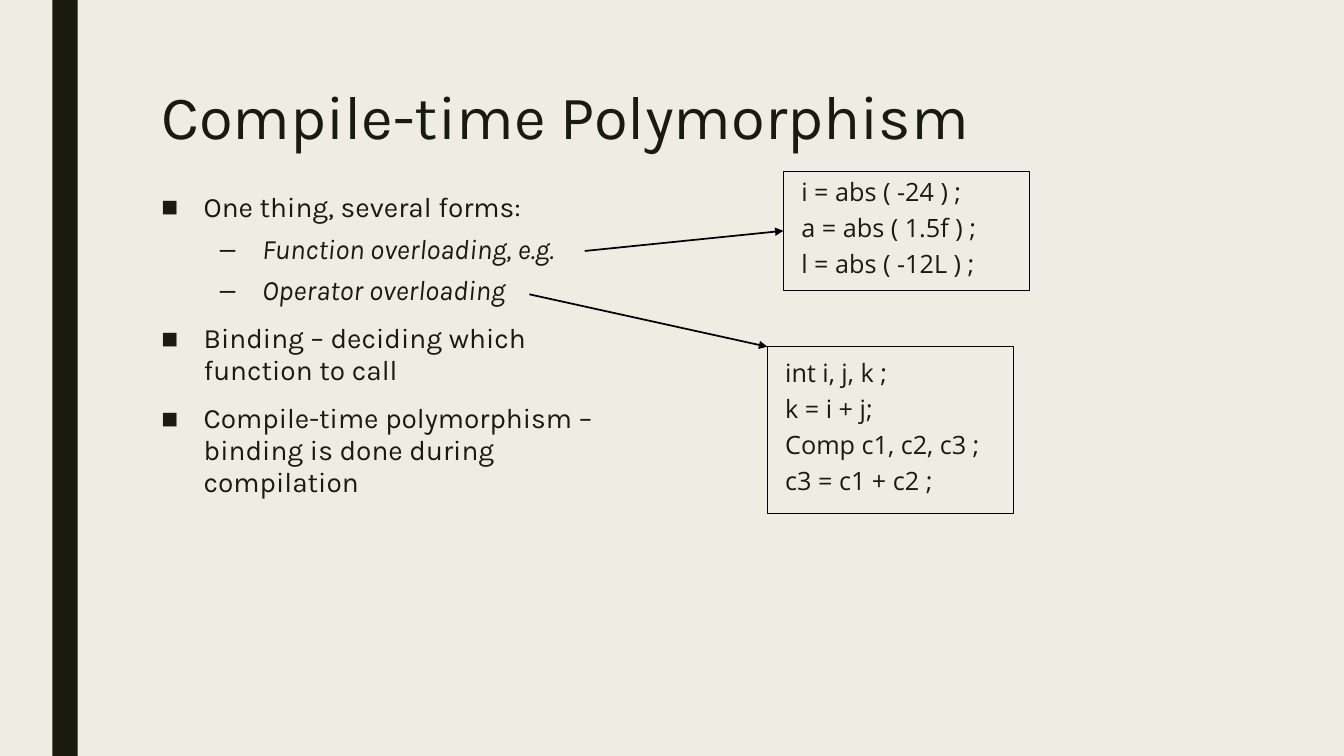
"""Builds the slide on compile-time polymorphism."""
import pptx
import pptx.util
import pptx.dml.color
import pptx.enum.shapes
import pptx.enum.text
import pptx.oxml.ns
import lxml.etree

Inches, Pt = pptx.util.Inches, pptx.util.Pt
RGB = pptx.dml.color.RGBColor.from_string
ANCHOR = pptx.enum.text.MSO_ANCHOR
RECTANGLE = pptx.enum.shapes.MSO_SHAPE.RECTANGLE
COLORS = {"paper": "EFEDE3", "ink": "191B0E", "outline": "000000"}


def write(frame, text, first=False, size=20, font="Karla", italic=False, level=0,
          margin=0, indent=0, line=0.94, before=10, after=2, bullet=None):
    paragraph = frame.paragraphs[0] if first else frame.add_paragraph()
    paragraph.level = level
    paragraph.alignment = pptx.enum.text.PP_ALIGN.LEFT
    paragraph.line_spacing = line
    paragraph.space_before, paragraph.space_after = Pt(before), Pt(after)
    run = paragraph.add_run()
    run.text = text
    run.font.size, run.font.name, run.font.italic = Pt(size), font, italic
    run.font.color.rgb = RGB(COLORS["ink"])
    properties = paragraph._p.get_or_add_pPr()
    properties.set("marL", str(Inches(margin)))
    properties.set("indent", str(Inches(indent)))
    mark = lxml.etree.SubElement(
        properties, pptx.oxml.ns.qn("a:buChar" if bullet else "a:buNone"))
    if bullet:
        mark.set("char", bullet)


deck = pptx.Presentation()
deck.slide_width, deck.slide_height = Inches(13.33), Inches(7.5)
slide = deck.slides.add_slide(deck.slide_layouts[1])
slide.background.fill.solid()
slide.background.fill.fore_color.rgb = RGB(COLORS["paper"])

side_bar = slide.shapes.add_shape(RECTANGLE, Inches(0.52), 0, Inches(0.25), Inches(7.5))
side_bar.shadow.inherit = False
side_bar.fill.solid()
side_bar.fill.fore_color.rgb = RGB(COLORS["ink"])
side_bar.line.fill.background()

heading, points = slide.placeholders
for holder, box, anchor in [
    (heading, (1.5, 0.75, 10.5, 0.87), ANCHOR.MIDDLE),
    (points, (1.5, 1.86, 4.86, 4.56), ANCHOR.TOP),
]:
    holder.left, holder.top, holder.width, holder.height = map(Inches, box)
    holder.text_frame.auto_size = pptx.enum.text.MSO_AUTO_SIZE.NONE
    holder.text_frame.vertical_anchor = anchor

write(heading.text_frame, "Compile-time Polymorphism", first=True, size=44,
      line=0.89, before=0, after=0)

LEVELS = [
    {"margin": 0.42, "bullet": "■"},
    {"margin": 1, "bullet": "–", "before": 5, "italic": True},
]
for number, (level, point) in enumerate([
    (0, "One thing, several forms:"),
    (1, "Function overloading, e.g."),
    (1, "Operator overloading"),
    (0, "Binding – deciding which function to call"),
    (0, "Compile-time polymorphism – binding is done during compilation"),
]):
    write(points.text_frame, point, first=number == 0, level=level, indent=-0.42,
          **LEVELS[level])

EXAMPLES = [
    ((7.77, 1.7, 2.44, 1.18), (5.8, 2.49, 7.77, 2.29),
     ["i = abs ( -24 ) ;", "a = abs ( 1.5f ) ;", "l = abs ( -12L ) ;"]),
    ((7.61, 3.44, 2.44, 1.65), (5.25, 2.92, 7.61, 3.44),
     ["int i, j, k ;", "k = i + j;", "Comp c1, c2, c3 ;", "c3 = c1 + c2 ;"]),
]
for box, route, statements in EXAMPLES:
    example = slide.shapes.add_shape(RECTANGLE, *map(Inches, box))
    example.shadow.inherit = False
    example.fill.background()
    example.line.color.rgb = RGB(COLORS["outline"])
    example.line.width = Pt(0.75)
    example.text_frame.word_wrap = True
    example.text_frame.vertical_anchor = ANCHOR.MIDDLE
    for number, statement in enumerate(statements):
        write(example.text_frame, statement, first=number == 0, size=18,
              font="Open Sans", margin=0.08, line=0.75, before=8, after=1.6)

    arrow = slide.shapes.add_connector(
        pptx.enum.shapes.MSO_CONNECTOR.STRAIGHT, *map(Inches, route))
    arrow.line.color.rgb = RGB(COLORS["outline"])
    arrow.line.width = Pt(1.25)
    lxml.etree.SubElement(arrow.line._get_or_add_ln(),
                          pptx.oxml.ns.qn("a:tailEnd"), type="triangle")
    lxml.etree.SubElement(arrow._element.spPr, pptx.oxml.ns.qn("a:effectLst"))

deck.save("out.pptx")
